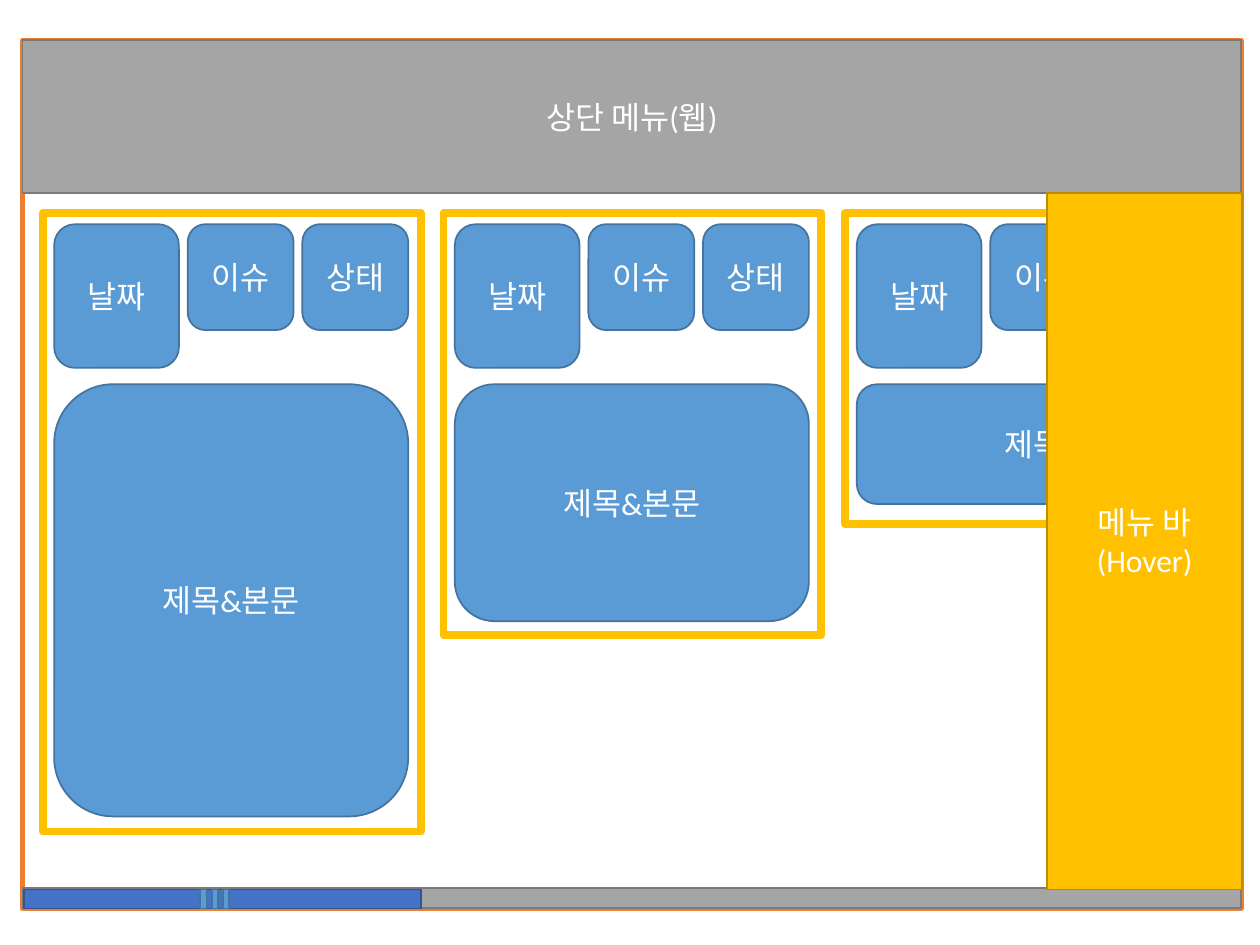
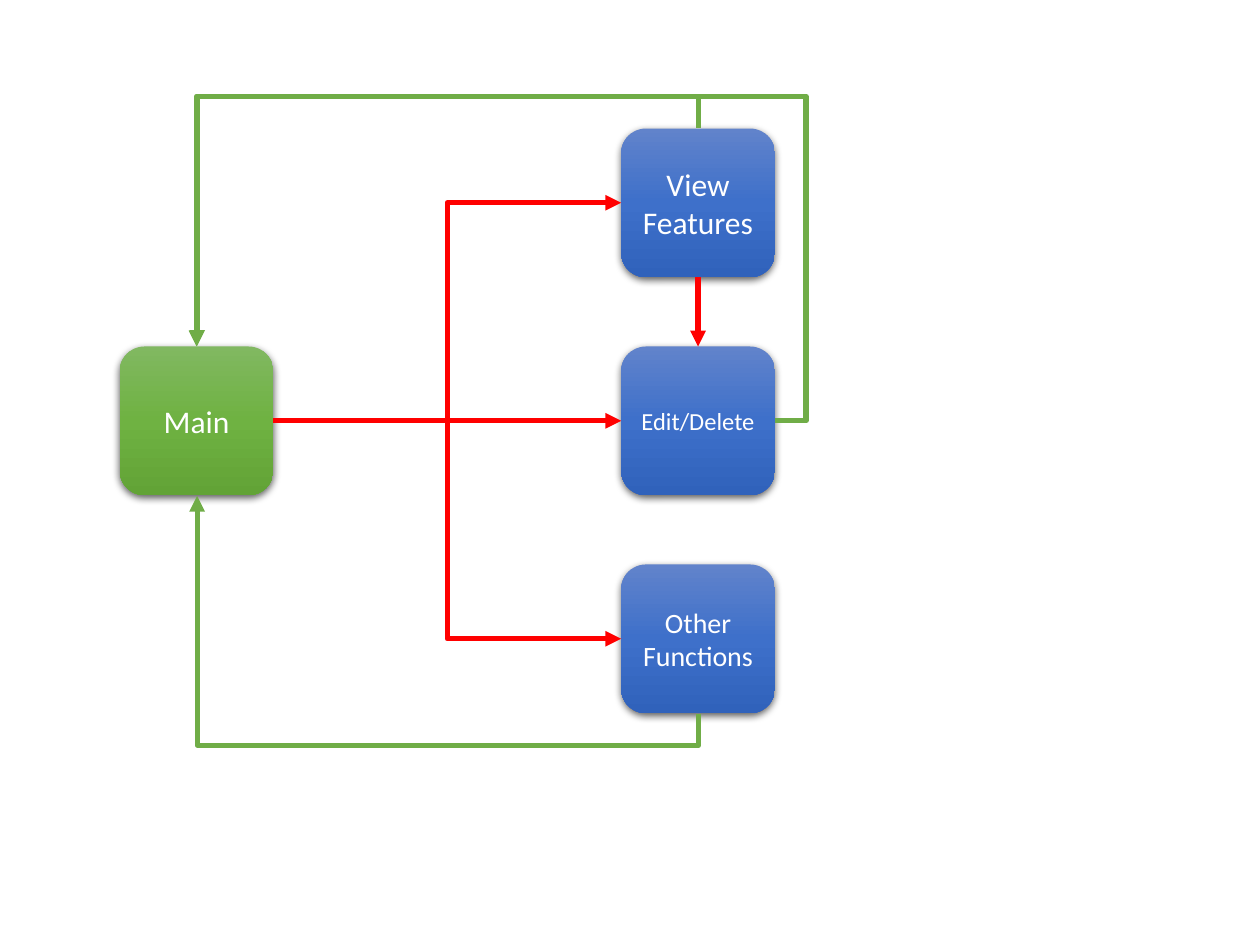
"""Build a timeline page wireframe and its page flow diagram."""
from lxml.etree import SubElement
from pptx import Presentation
from pptx.dml.color import RGBColor
from pptx.enum.shapes import MSO_CONNECTOR as CONNECTOR, MSO_SHAPE as SHAPE
from pptx.enum.text import MSO_ANCHOR, PP_ALIGN
from pptx.oxml.ns import qn
from pptx.util import Inches, Pt

WHITE = RGBColor(0xFF, 0xFF, 0xFF)
ORANGE = RGBColor(0xED, 0x7D, 0x31)
GOLD = RGBColor(0xFF, 0xC0, 0x00)
DARK_GOLD = RGBColor(0xBD, 0x8E, 0x00)
SKY = RGBColor(0x5B, 0x9B, 0xD5)
DARK_SKY = RGBColor(0x43, 0x73, 0x9E)
GRAY = RGBColor(0xA5, 0xA5, 0xA5)
DARK_GRAY = RGBColor(0x7A, 0x7A, 0x7A)
BLUE = RGBColor(0x44, 0x72, 0xC4)
DARK_BLUE = RGBColor(0x32, 0x54, 0x91)
RED = RGBColor(0xFF, 0x00, 0x00)
GREEN = RGBColor(0x70, 0xAD, 0x47)
GREEN_GRADIENT = [RGBColor(0x81, 0xB8, 0x61), RGBColor(0x6F, 0xB2, 0x42), RGBColor(0x62, 0xA3, 0x36)]
BLUE_GRADIENT = [RGBColor(0x61, 0x83, 0xCB), RGBColor(0x3E, 0x70, 0xCA), RGBColor(0x30, 0x62, 0xBB)]
FONT = "Calibri"
TOP, LEFT, BOTTOM, RIGHT = range(4)


def add_box(slide, kind, bounds, fill, outline, weight=1, text="", size=18):
    shape = slide.shapes.add_shape(kind, *map(Inches, bounds))
    shape.shadow.inherit = False
    if isinstance(fill, list):
        gradient = SubElement(shape.element.spPr, qn("a:gradFill"), rotWithShape="1")
        stops = SubElement(gradient, qn("a:gsLst"))
        for position, color in zip((0, 50000, 100000), fill):
            stop = SubElement(stops, qn("a:gs"), pos=str(position))
            SubElement(stop, qn("a:srgbClr"), val=str(color))
        SubElement(gradient, qn("a:lin"), ang="5400000", scaled="0")
        shape.element.spPr.find(qn("a:prstGeom")).addnext(gradient)
    else:
        shape.fill.solid()
        shape.fill.fore_color.rgb = fill
    if outline is None:
        shape.line.fill.background()
    else:
        shape.line.color.rgb = outline
        shape.line.width = Pt(weight)
    if text:
        frame = shape.text_frame
        frame.word_wrap = True
        frame.vertical_anchor = MSO_ANCHOR.MIDDLE
        frame.text = text
        for paragraph in frame.paragraphs:
            paragraph.alignment = PP_ALIGN.CENTER
            paragraph.font.name = FONT
            paragraph.font.size = Pt(size)
            paragraph.font.color.rgb = WHITE
    return shape


def add_arrow(slide, kind, start, start_side, end, end_side, color):
    connector = slide.shapes.add_connector(kind, 0, 0, 0, 0)
    connector.begin_connect(start, start_side)
    connector.end_connect(end, end_side)
    connector.line.color.rgb = color
    connector.line.width = Pt(3)
    SubElement(connector.line._get_or_add_ln(), qn("a:tailEnd"), type="triangle")
    SubElement(connector.element.spPr, qn("a:effectLst"))
    return connector


presentation = Presentation()
presentation.slide_width = Inches(10)
presentation.slide_height = Inches(7.5)
blank = presentation.slide_layouts[6]

wireframe = presentation.slides.add_slide(blank)
add_box(wireframe, SHAPE.RECTANGLE, (0.18, 0.32, 9.67, 6.89), WHITE, ORANGE, 3)

cards = [
    (0.34, 4.91, 3.43, "제목&본문", True),
    (3.52, 3.35, 1.88, "제목&본문", True),
    (6.71, 2.47, 0.95, "제목", False),
]
for left, card_height, body_height, body_text, has_status in cards:
    add_box(wireframe, SHAPE.RECTANGLE, (left, 1.69, 3, card_height), WHITE, GOLD, 4.5)
    inner = left + 0.09
    tiles = [
        ("날짜", inner, 1.78, 0.99, 1.14),
        ("이슈", inner + 1.06, 1.78, 0.84, 0.84),
        (body_text, inner, 3.05, 2.81, body_height),
    ]
    if has_status:
        tiles.append(("상태", inner + 1.97, 1.78, 0.84, 0.84))
    for text, *bounds in tiles:
        add_box(wireframe, SHAPE.ROUNDED_RECTANGLE, bounds, SKY, DARK_SKY, text=text)

add_box(wireframe, SHAPE.RECTANGLE, (0.18, 0.32, 9.67, 1.21), GRAY, DARK_GRAY, text="상단 메뉴(웹)")
add_box(wireframe, SHAPE.RECTANGLE, (0.18, 7.05, 9.67, 0.16), GRAY, DARK_GRAY)
add_box(wireframe, SHAPE.RECTANGLE, (0.19, 7.06, 3.15, 0.15), BLUE, DARK_BLUE)
for grip in range(3):
    add_box(wireframe, SHAPE.RECTANGLE, (1.59 + 0.09 * grip, 7.06, 0.05, 0.15), SKY, DARK_SKY)
add_box(wireframe, SHAPE.RECTANGLE, (8.31, 1.53, 1.55, 5.53), GOLD, DARK_GOLD, text="메뉴 바(Hover)")

flow = presentation.slides.add_slide(blank)
nodes = []
for text, left, top, size, gradient in [
    ("Main", 0.95, 2.75, 18, GREEN_GRADIENT),
    ("View\nFeatures", 4.93, 1.02, 18, BLUE_GRADIENT),
    ("Edit/Delete", 4.93, 2.75, 14, BLUE_GRADIENT),
    ("Other Functions", 4.93, 4.48, 16, BLUE_GRADIENT),
]:
    node = add_box(flow, SHAPE.ROUNDED_RECTANGLE, (left, top, 1.22, 1.18), gradient, None, text=text, size=size)
    effects = node.element.spPr.find(qn("a:effectLst"))
    shadow = SubElement(effects, qn("a:outerShdw"), blurRad=str(Pt(4.5)), dist=str(Pt(1.5)),
                        dir="5400000", algn="ctr", rotWithShape="0")
    shadow_color = SubElement(shadow, qn("a:srgbClr"), val="000000")
    SubElement(shadow_color, qn("a:alpha"), val="63000")
    nodes.append(node)
main_page, view, edit, other = nodes

add_arrow(flow, CONNECTOR.ELBOW, main_page, RIGHT, view, LEFT, RED)
add_arrow(flow, CONNECTOR.STRAIGHT, main_page, RIGHT, edit, LEFT, RED)
add_arrow(flow, CONNECTOR.ELBOW, main_page, RIGHT, other, LEFT, RED)
add_arrow(flow, CONNECTOR.STRAIGHT, view, BOTTOM, edit, TOP, RED)

returns = [
    (view, TOP, TOP, (2.69, -0.11, 1.73, 3.98), 270, "1", "bentConnector3", [-14400]),
    (other, BOTTOM, BOTTOM, (2.69, 2.81, 1.73, 3.98), 90, "0", "bentConnector3", [-14400]),
    (edit, RIGHT, TOP, (1.56, 2.75, 4.59, 0.59), 0, "1", "bentConnector4", [-5400, 436500]),
]
for start, start_side, end_side, bounds, angle, flip_v, preset, adjustments in returns:
    connector = add_arrow(flow, CONNECTOR.ELBOW, start, start_side, main_page, end_side, GREEN)
    connector.left, connector.top, connector.width, connector.height = map(Inches, bounds)
    transform = connector.element.spPr.find(qn("a:xfrm"))
    transform.set("rot", str(angle * 60000))
    transform.set("flipH", "1")
    transform.set("flipV", flip_v)
    geometry = connector.element.spPr.find(qn("a:prstGeom"))
    geometry.set("prst", preset)
    for number, value in enumerate(adjustments, 1):
        SubElement(geometry.find(qn("a:avLst")), qn("a:gd"), name=f"adj{number}", fmla=f"val {value}")

presentation.save("out.pptx")
